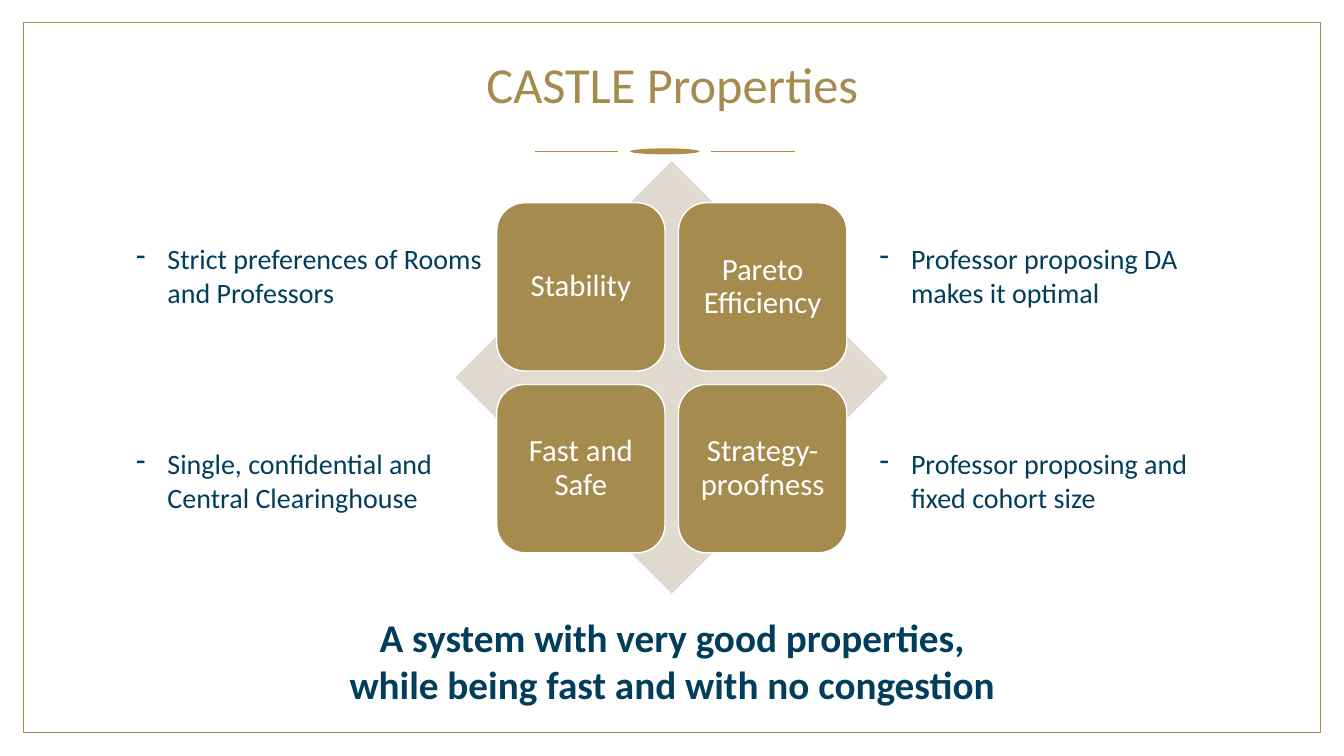
from typing import NamedTuple

import pptx
import pptx.dml.color
import pptx.enum.shapes
import pptx.enum.text
import pptx.util
from lxml import etree
from pptx.oxml.ns import qn

Cm = pptx.util.Cm
Pt = pptx.util.Pt
RGBColor = pptx.dml.color.RGBColor
SHAPE = pptx.enum.shapes.MSO_SHAPE
ANCHOR = pptx.enum.text.MSO_ANCHOR
ALIGN = pptx.enum.text.PP_ALIGN

GOLD = RGBColor(0xA6, 0x8B, 0x4E)
ORNAMENT = RGBColor(0xB1, 0x8C, 0x49)
SAND = RGBColor(0xE1, 0xDA, 0xD0)
NAVY = RGBColor(0x00, 0x3E, 0x5C)
WHITE = RGBColor(0xFF, 0xFF, 0xFF)

CARD_LEFT, CARD_TOP, CARD_SIZE, CARD_PITCH = 12.52, 5.11, 4.24, 4.58
NOTE_LEFT, NOTE_TOP, NOTE_STEP_X, NOTE_STEP_Y = 3.18, 5.97, 18.74, 5.16
NOTE_INDENT = 0.79


class Box(NamedTuple):
    left: float
    top: float
    width: float
    height: float

    def lengths(self) -> list:
        return [Cm(v) for v in self]


class Property(NamedTuple):
    col: int
    row: int
    name: str
    note: str


PROPERTIES = [
    Property(0, 0, "Stability", "Strict preferences of Rooms and Professors"),
    Property(1, 0, "Pareto Efficiency", "Professor proposing DA makes it optimal"),
    Property(0, 1, "Fast and Safe", "Single, confidential and Central Clearinghouse"),
    Property(1, 1, "Strategy-proofness", "Professor proposing and fixed cohort size"),
]


def add_shape(s, kind, box: Box, fill: RGBColor, line=None, width: float = 1):
    sp = s.shapes.add_shape(kind, *box.lengths())
    sp.shadow.inherit = False
    sp.fill.solid()
    sp.fill.fore_color.rgb = fill
    if line is None:
        sp.line.fill.background()
    else:
        sp.line.color.rgb = line
        sp.line.width = Pt(width)
    return sp


def add_rule(s, left: float, right: float, y: float) -> None:
    cn = s.shapes.add_connector(
        pptx.enum.shapes.MSO_CONNECTOR.STRAIGHT, Cm(left), Cm(y), Cm(right), Cm(y))
    cn.line.color.rgb = ORNAMENT
    cn.line.width = Pt(0.5)
    etree.SubElement(cn.element.spPr, qn("a:effectLst"))


def write(sp, text: str, size: float, color: RGBColor, align=ALIGN.CENTER,
          bold: bool = False, spacing: float = 1.0):
    tf = sp.text_frame
    tf.word_wrap = True
    p = tf.paragraphs[0]
    p.text = text
    p.alignment = align
    p.line_spacing = spacing
    for r in p.runs:
        r.font.name = "Calibri"
        r.font.size = Pt(size)
        r.font.bold = bold
        r.font.color.rgb = color
    return tf


def add_card(s, item: Property) -> None:
    box = Box(CARD_LEFT + item.col * CARD_PITCH, CARD_TOP + item.row * CARD_PITCH,
              CARD_SIZE, CARD_SIZE)
    sp = add_shape(s, SHAPE.ROUNDED_RECTANGLE, box, GOLD, WHITE)
    tf = write(sp, item.name, 22, WHITE, spacing=0.9)
    tf.vertical_anchor = ANCHOR.MIDDLE
    tf.margin_left = tf.margin_right = tf.margin_top = tf.margin_bottom = Cm(0.23)


def add_note(s, item: Property) -> None:
    box = Box(NOTE_LEFT + item.col * NOTE_STEP_X, NOTE_TOP + item.row * NOTE_STEP_Y,
              9.35, 1.96)
    tf = write(s.shapes.add_textbox(*box.lengths()), item.note, 20, NAVY, ALIGN.LEFT)
    pPr = tf.paragraphs[0]._p.get_or_add_pPr()
    pPr.set("marL", str(Cm(NOTE_INDENT)))
    pPr.set("indent", str(-Cm(NOTE_INDENT)))
    etree.SubElement(pPr, qn("a:buChar"), char="-")


def main() -> None:
    prs = pptx.Presentation()
    prs.slide_width, prs.slide_height = Cm(33.87), Cm(19.05)
    s = prs.slides.add_slide(prs.slide_layouts[6])

    add_shape(s, SHAPE.RECTANGLE, Box(0.6, 0.58, 32.67, 17.88), WHITE, GOLD, 0.75)
    add_shape(s, SHAPE.OVAL, Box(15.88, 3.74, 1.75, 0.15), ORNAMENT)
    add_rule(s, 13.47, 15.58, 3.82)
    add_rule(s, 17.93, 20.04, 3.82)

    title = s.shapes.add_textbox(*Box(2.34, 0.58, 29.21, 3.23).lengths())
    tf = write(title, "CASTLE Properties", 36, GOLD, spacing=0.9)
    tf.vertical_anchor = ANCHOR.MIDDLE

    add_shape(s, SHAPE.DIAMOND, Box(11.48, 4.06, 10.9, 10.9), SAND)
    for item in PROPERTIES:
        add_card(s, item)
    for item in PROPERTIES:
        add_note(s, item)

    conclusion = s.shapes.add_textbox(*Box(6.1, 15.32, 21.67, 2.64).lengths())
    write(conclusion,
          "A system with very good properties,\vwhile being fast and with no congestion",
          28, NAVY, bold=True)

    prs.save("out.pptx")


if __name__ == "__main__":
    main()
